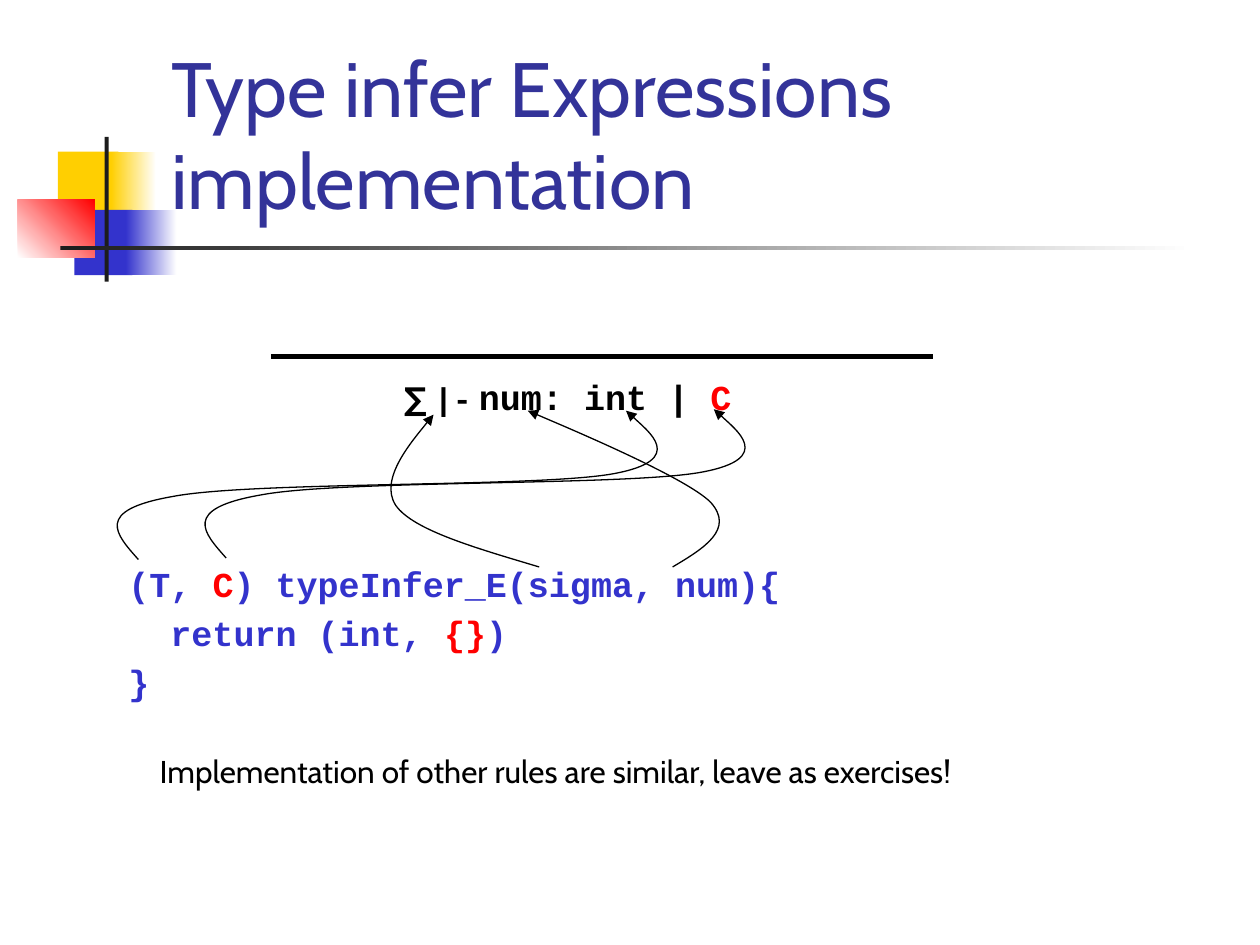
from dataclasses import dataclass

from lxml import etree
from pptx import Presentation
from pptx.dml.color import RGBColor
from pptx.enum import shapes, text
from pptx.oxml import ns
from pptx.util import Cm, Pt


@dataclass(frozen=True)
class Theme:
    sans: str = "Cabin"
    mono: str = "Courier New"
    title: str = "333399"
    black: str = "000000"
    white: str = "FFFFFF"
    dark: str = "1C1C1C"
    yellow: str = "FFCF01"
    blue: str = "3333CC"
    red: str = "FF0000"
    title_size: int = 44
    code_size: int = 20
    text_size: int = 18


T = Theme()


def rgb(value):
    return RGBColor.from_string(value)


def add_run(p, words, font, size, color, bold=False):
    r = p.add_run()
    r.text = words
    r.font.name, r.font.size, r.font.bold = font, Pt(size), bold
    r.font.color.rgb = rgb(color)


def add_text(s, box, wrap=True):
    tf = s.shapes.add_textbox(*map(Cm, box)).text_frame
    tf.word_wrap = wrap
    if not wrap:
        tf.auto_size = text.MSO_AUTO_SIZE.SHAPE_TO_FIT_TEXT
    return tf


def add_block(s, box, start, end=None, angle=0):
    sp = s.shapes.add_shape(shapes.MSO_SHAPE.RECTANGLE, *map(Cm, box))
    sp.shadow.inherit = False
    sp.line.fill.background()
    if end is None:
        sp.fill.solid()
        sp.fill.fore_color.rgb = rgb(start)
        return
    sp.fill.gradient()
    sp.fill.gradient_angle = angle
    for stop, color in zip(sp.fill.gradient_stops, (start, end)):
        stop.color.rgb = rgb(color)


def add_curve(s, points):
    """Draw cubic curves: a start, then two controls and an end for each."""
    points = [(Cm(x), Cm(y)) for x, y in points]
    builder = s.shapes.build_freeform(*points[0])
    builder.add_line_segments(points[1:], close=False)
    sp = builder.convert_to_shape()
    sp.shadow.inherit = False
    sp.fill.background()
    sp.line.color.rgb = rgb(T.black)
    sp.line.width = Pt(0.75)
    # Merge each three straight segments into one cubic segment
    segments = list(sp.element.iter(ns.qn("a:lnTo")))
    for i in range(0, len(segments), 3):
        cubic = etree.SubElement(segments[i].getparent(), ns.qn("a:cubicBezTo"))
        for segment in segments[i:i + 3]:
            cubic.append(segment[0])
            segment.getparent().remove(segment)
    # Arrowhead at the end of the curve
    ln = sp.element.spPr.find(ns.qn("a:ln"))
    etree.SubElement(ln, ns.qn("a:tailEnd"), type="triangle")


def ornament(s, left, top):
    """Overlapping colour blocks with a cross of dark bars."""
    blocks = [
        ((0.81, 0.3, 1.22, 1.32), T.yellow),
        ((1.88, 0.3, 0.91, 1.32), T.yellow, T.white),
        ((1.14, 1.47, 1.17, 1.32), T.blue),
        ((2.18, 1.47, 1.02, 1.32), T.blue, T.white),
        ((0, 1.27, 1.55, 1.17), T.white, T.red, 45),
        ((1.75, 0, 0.08, 2.92), T.dark),
        ((0.86, 2.19, 22.86, 0.1), T.dark, T.white),
    ]
    for (x, y, w, h), *colors in blocks:
        add_block(s, (left + x, top + y, w, h), *colors)


def heading(s, left, top, width, height):
    title = s.shapes.title
    title.left, title.top, title.width, title.height = map(
        Cm, (left, top, width, height))
    tf = title.text_frame
    tf.word_wrap = True
    tf.auto_size = text.MSO_AUTO_SIZE.NONE
    tf.vertical_anchor = text.MSO_ANCHOR.BOTTOM
    p = tf.paragraphs[0]
    p.alignment = text.PP_ALIGN.LEFT
    add_run(p, "Type infer Expressions implementation",
            T.sans, T.title_size, T.title)


def code(s, left, top, width, height):
    lines = [
        [("(T, ", T.blue), ("C", T.red), (") typeInfer_E(sigma, num){", T.blue)],
        [("  return (int, ", T.blue), ("{}", T.red), (")", T.blue)],
        [("}", T.blue)],
    ]
    tf = add_text(s, (left, top, width, height))
    for i, line in enumerate(lines):
        p = tf.add_paragraph() if i else tf.paragraphs[0]
        if i:
            p.space_before = Pt(4)
        for words, color in line:
            add_run(p, words, T.mono, T.code_size, color, bold=True)


def typing_rule(s, left, top, width):
    """Inference bar with the judgment below it."""
    bar = s.shapes.add_connector(shapes.MSO_CONNECTOR.STRAIGHT, Cm(left),
                                 Cm(top), Cm(left + width), Cm(top))
    bar.line.color.rgb = rgb(T.black)
    bar.line.width = Pt(3)
    etree.SubElement(bar._element.spPr, ns.qn("a:effectLst"))
    tf = add_text(s, (left + 2.44, top + 0.25, 7.24, 1.12), wrap=False)
    p = tf.paragraphs[0]
    for words, font, size, color in [
        ("∑ ", T.sans, T.text_size, T.black),
        ("|-", T.mono, T.text_size, T.black),
        (" ", T.sans, T.text_size, T.black),
        ("num: int | ", T.mono, T.code_size, T.black),
        ("C", T.mono, T.code_size, T.red),
    ]:
        add_run(p, words, font, size, color, bold=True)


def mapping_arrows(s, left, top):
    """Curves from the parts of the signature up to the judgment."""
    sigma = [(8.99, 3.18), (7.72, 2.8), (6.45, 2.44), (6.1, 1.94),
             (5.74, 1.4), (6.86, 0.11), (6.86, 0.11)]
    num = [(11.68, 3.18), (12.32, 2.8), (12.93, 2.42), (12.45, 1.88),
           (11.96, 1.38), (8.76, 0.03), (8.76, 0.03)]
    result_type = [(0.91, 3.03), (0.46, 2.52), (0, 2.04), (1.6, 1.76),
                   (3.2, 1.45), (8.97, 1.58), (10.49, 1.3),
                   (12.01, 1.02), (10.74, 0.03), (10.74, 0.03)]
    constraints = [(x + 1.77, y - 0.03) for x, y in result_type]
    for curve in (sigma, num, result_type, constraints):
        add_curve(s, [(left + x, top + y) for x, y in curve])


def remark(s, left, top, width, height):
    tf = add_text(s, (left, top, width, height))
    add_run(tf.paragraphs[0],
            "Implementation of other rules are similar, leave as exercises!",
            T.sans, T.text_size, T.black)


def main():
    prs = Presentation()
    prs.slide_width, prs.slide_height = Cm(25.4), Cm(19.05)
    s = prs.slides.add_slide(prs.slide_layouts[5])
    s.background.fill.solid()
    s.background.fill.fore_color.rgb = rgb(T.white)
    ornament(s, 0.36, 2.76)
    heading(s, 3.2, 0.6, 21.64, 4.06)
    code(s, 2.34, 11.21, 21.59, 3.18)
    typing_rule(s, 5.46, 7.19, 13.34)
    mapping_arrows(s, 1.88, 8.25)
    remark(s, 2.97, 15.04, 17.98, 1.02)
    prs.save("out.pptx")


if __name__ == "__main__":
    main()
